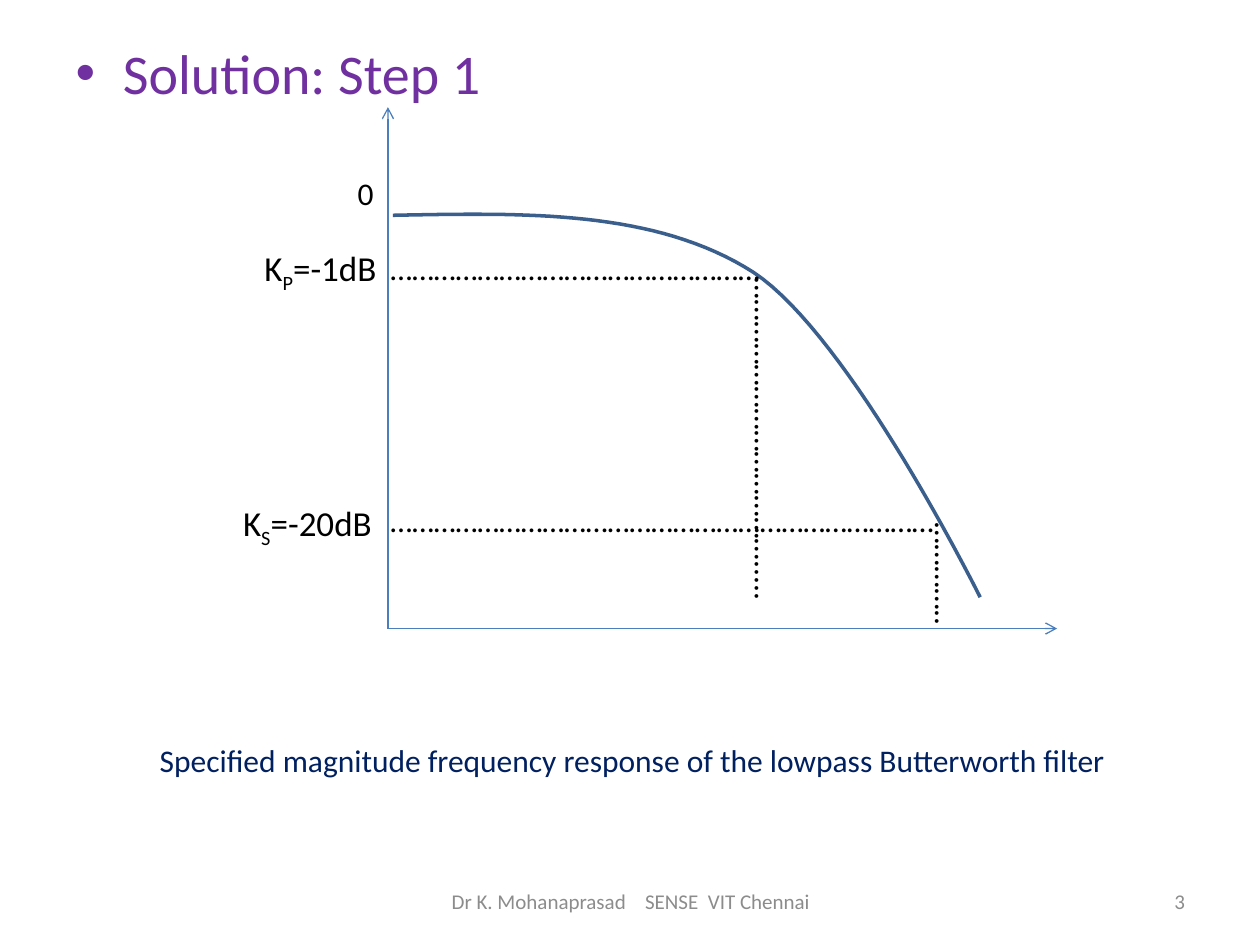
from dataclasses import dataclass

from lxml import etree
from pptx import Presentation
from pptx.dml.color import RGBColor
from pptx.enum.shapes import MSO_CONNECTOR
from pptx.enum.text import MSO_ANCHOR, PP_ALIGN
from pptx.oxml.ns import qn
from pptx.util import Cm, Pt

STRAIGHT = MSO_CONNECTOR.STRAIGHT
TOP, MIDDLE = MSO_ANCHOR.TOP, MSO_ANCHOR.MIDDLE
LEFT, CENTER, RIGHT = PP_ALIGN.LEFT, PP_ALIGN.CENTER, PP_ALIGN.RIGHT


@dataclass(frozen=True)
class Theme:
    font: str = "Calibri"
    heading: str = "7030A0"
    text: str = "000000"
    caption: str = "002060"
    footer: str = "8C8C8C"
    axis: str = "4B7EBC"
    curve: str = "3A5F8C"
    heading_size: int = 32
    label_size: int = 20
    text_size: int = 18
    footer_size: int = 12
    axis_width: float = 0.75
    curve_width: float = 2


def bezier(p0, p1, p2, p3, steps=32):
    for i in range(1, steps + 1):
        t = i / steps
        u = 1 - t
        yield tuple(
            u**3 * a + 3 * u * u * t * b + 3 * u * t * t * c + t**3 * d
            for a, b, c, d in zip(p0, p1, p2, p3)
        )


class SlideBuilder:
    def __init__(self, slide, theme):
        self.slide = slide
        self.theme = theme
        self.shapes = slide.shapes

    def start_group(self):
        self.shapes = self.slide.shapes.add_group_shape().shapes

    def end_group(self):
        self.shapes = self.slide.shapes

    def style(self, p, size, color):
        p.font.name = self.theme.font
        p.font.size = Pt(size)
        p.font.color.rgb = RGBColor.from_string(color)

    def heading(self, text, left, top, width, height):
        title = self.slide.shapes.title
        title.element.getparent().remove(title.element)
        body = self.slide.placeholders[1]
        body.left, body.top, body.width, body.height = map(
            Cm, (left, top, width, height)
        )
        p = body.text_frame.paragraphs[0]
        p.text = text
        p.space_before = Pt(0)
        self.style(p, self.theme.heading_size, self.theme.heading)

    def text(self, runs, left, top, width, height, size=None, color=None,
             align=LEFT, anchor=TOP, rotation=0):
        sp = self.shapes.add_textbox(*map(Cm, (left, top, width, height)))
        sp.rotation = rotation
        tf = sp.text_frame
        tf.word_wrap = True
        tf.vertical_anchor = anchor
        p = tf.paragraphs[0]
        p.alignment = align
        self.style(p, size or self.theme.text_size, color or self.theme.text)
        for text, attributes in runs:
            r = p.add_run()
            r.text = text
            for name, value in attributes.items():
                r.font._element.set(name, value)

    def level_label(self, subscript, value, left, top, width, height):
        runs = [("K", {}), (subscript, {"baseline": "-25000"}), (value, {})]
        self.text(runs, left, top, width, height, self.theme.label_size)

    def axis(self, start, end):
        line = self.shapes.add_connector(STRAIGHT, *map(Cm, start + end))
        line.line.color.rgb = RGBColor.from_string(self.theme.axis)
        line.line.width = Pt(self.theme.axis_width)
        ln = line.line._get_or_add_ln()
        etree.SubElement(ln, qn("a:tailEnd"), type="arrow")
        etree.SubElement(line._element.spPr, qn("a:effectLst"))

    def curve(self, start, segments):
        points, current = [], start
        for segment in segments:
            points.extend(bezier(current, *segment))
            current = segment[-1]
        builder = self.shapes.build_freeform(*map(Cm, start))
        builder.add_line_segments(
            [(Cm(x), Cm(y)) for x, y in points], close=False
        )
        sp = builder.convert_to_shape()
        sp.shadow.inherit = False
        sp.fill.background()
        sp.line.color.rgb = RGBColor.from_string(self.theme.curve)
        sp.line.width = Pt(self.theme.curve_width)


def main():
    prs = Presentation()
    prs.slide_width, prs.slide_height = Cm(25.4), Cm(19.05)
    theme = Theme()
    s = SlideBuilder(prs.slides.add_slide(prs.slide_layouts[1]), theme)

    s.heading("Solution: Step 1", 1.27, 0.64, 22.86, 16.38)

    s.start_group()
    origin = (7.82, 12.67)
    s.axis(origin, (21.31, 12.67))
    s.curve((7.92, 4.34), [
        ((10.57, 4.29), (13.21, 4.22), (15.19, 5.49)),
        ((17.15, 6.78), (19.76, 12.04), (19.76, 12.04)),
    ])
    s.axis(origin, (7.82, 2.16))

    s.text([("0", {})], 6.96, 3.38, 0.64, 1.19)
    s.level_label("P", "=-1dB", 5.08, 4.85, 3.15, 1.19)
    s.level_label("S", "=-20dB", 4.65, 9.98, 3.38, 1.19)
    guides = [
        ("……………………………………………", 7.62, 4.9, 8.36, 1.19, 0),
        ("………………………………….....", 11.3, 8.99, 8.31, 1.04, 90),
        ("…………………………………………………………………", 7.62, 9.98, 12.12, 1.19, 0),
        ("…………..", 17.4, 11.46, 3.38, 1.04, 90),
    ]
    for dots, left, top, width, height, rotation in guides:
        s.text([(dots, {})], left, top, width, height, rotation=rotation)
    s.end_group()

    caption = "Specified magnitude frequency response of the lowpass Butterworth filter"
    s.text([(caption, {})], 2.97, 14.81, 19.94, 1.02, color=theme.caption)

    footer = [
        ("Dr K. Mohanaprasad", {}), (" ", {"spc": "810"}),
        ("SENSE", {}), (" ", {"spc": "270"}), ("VIT Chennai", {}),
    ]
    for runs, left, width, align in [
        (footer, 8.69, 8.05, CENTER),
        ([("3", {})], 18.21, 5.93, RIGHT),
    ]:
        s.text(runs, left, 17.65, width, 1.02, theme.footer_size,
               theme.footer, align, MIDDLE)

    prs.save("out.pptx")


if __name__ == "__main__":
    main()
